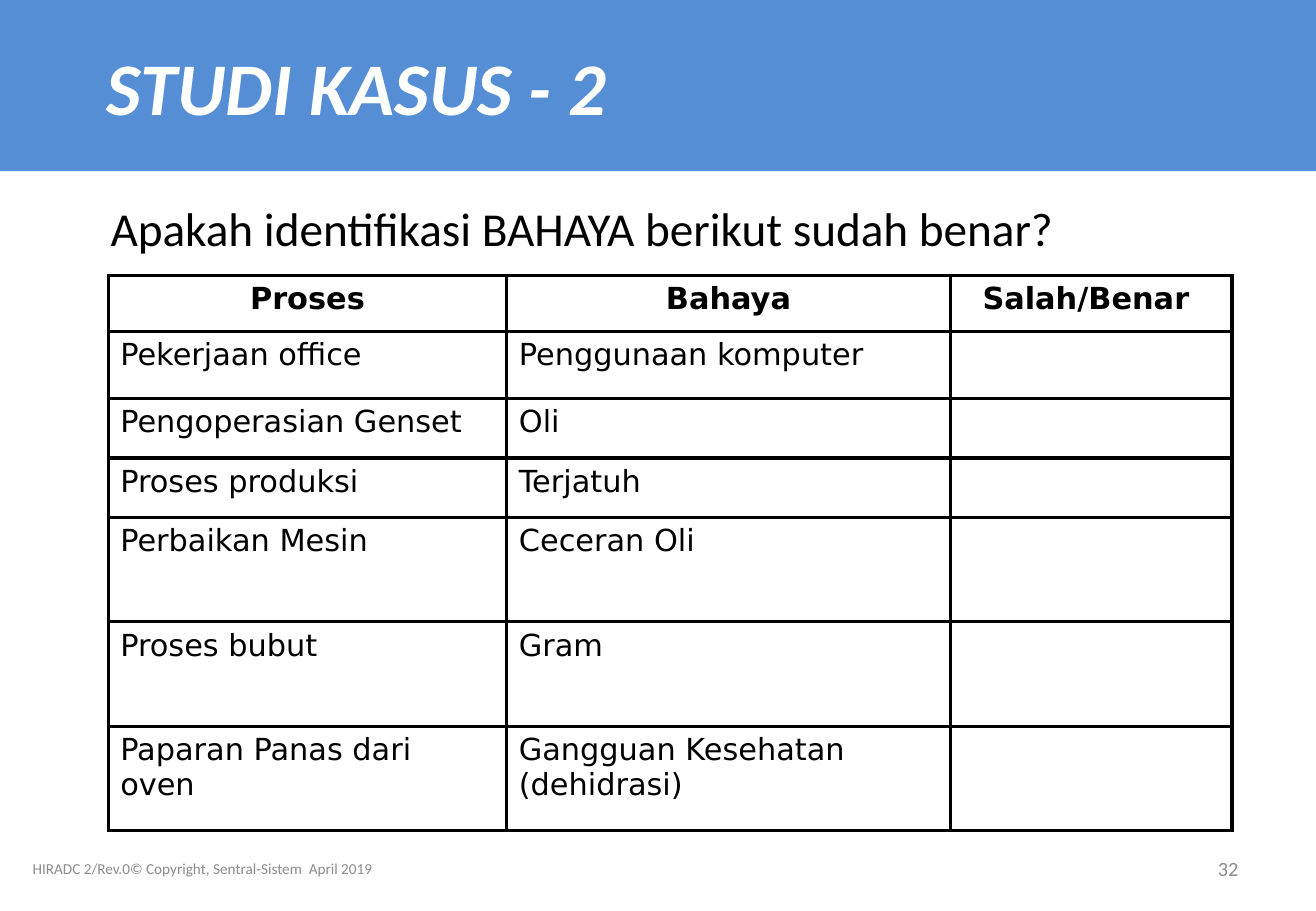
from lxml.etree import SubElement as Sub
from pptx import Presentation
from pptx.dml.color import RGBColor
from pptx.enum.text import MSO_ANCHOR as Anchor, MSO_AUTO_SIZE as Fit, PP_ALIGN as Align
from pptx.oxml import parse_xml
from pptx.oxml.ns import nsdecls, qn
from pptx.util import Pt

PX = 9144
BLUE = RGBColor(0x55, 0x8E, 0xD5)
WHITE = RGBColor(0xFF, 0xFF, 0xFF)
BLACK = RGBColor(0, 0, 0)
GRAY = RGBColor(0x8C, 0x8C, 0x8C)


def place(shape, *box):
    shape.left, shape.top, shape.width, shape.height = [n * PX for n in box]


def style(par, size, color, face="Calibri", align=Align.LEFT, bold=False):
    par.alignment = align
    for run in par.runs:
        run.font.name = face
        run.font.size = Pt(size)
        run.font.color.rgb = color
        run.font.bold = bold


deck = Presentation()
deck.slide_width = 1083 * PX
deck.slide_height = 750 * PX
slide = deck.slides.add_slide(deck.slide_layouts[1])

title = slide.shapes.title
place(title, 0, 0, 1083, 141)
title.fill.solid()
title.fill.fore_color.rgb = BLUE
frame = title.text_frame
frame.text = "\tSTUDI KASUS - 2"
frame.auto_size = Fit.NONE
frame.vertical_anchor = Anchor.MIDDLE
par = frame.paragraphs[0]
tabs = Sub(par._p.get_or_add_pPr(), qn("a:tabLst"))
Sub(tabs, qn("a:tab"), pos=str(78 * PX), algn="l")
style(par, 44, WHITE, bold=True)
par.runs[0].font.italic = True

body = slide.placeholders[1]
place(body, 81, 159, 891, 62)
frame = body.text_frame
frame.text = "Apakah identifikasi BAHAYA berikut sudah benar?"
frame.auto_size = Fit.NONE
par = frame.paragraphs[0]
props = par._p.get_or_add_pPr()
props.set("marL", str(38 * PX))
props.set("indent", str(-38 * PX))
Sub(props, qn("a:buNone"))
par.space_before = Pt(0)
style(par, 28, BLACK)

rows = [
    ("Proses", "Bahaya", "Salah/Benar "),
    ("Pekerjaan office", "Penggunaan komputer", ""),
    ("Pengoperasian Genset", "Oli", ""),
    ("Proses produksi", "Terjatuh", ""),
    ("Perbaikan Mesin", "Ceceran Oli", ""),
    ("Proses bubut", "Gram", ""),
    ("Paparan Panas dari oven", "Gangguan Kesehatan (dehidrasi)", ""),
]
wide = [328, 365, 232]
high = [46, 55, 49, 49, 86, 86, 86]
grid = slide.shapes.add_table(
    len(rows), len(wide), 89 * PX, 227 * PX, sum(wide) * PX, sum(high) * PX
).table
for col, size in zip(grid.columns, wide):
    col.width = size * PX
for row, size in zip(grid.rows, high):
    row.height = size * PX
for r, words in enumerate(rows):
    for c, word in enumerate(words):
        cell = grid.cell(r, c)
        cell.text = word
        cell.fill.background()
        props = cell._tc.get_or_add_tcPr()
        for n, side in enumerate("LRTB"):
            props.insert(n, parse_xml(
                f'<a:ln{side} {nsdecls("a")} w="{Pt(2.25)}"><a:solidFill>'
                f'<a:srgbClr val="{BLACK}"/></a:solidFill></a:ln{side}>'))
        align = Align.LEFT if r else Align.CENTER
        style(cell.text_frame.paragraphs[0], 18, BLACK, "DejaVu Sans", align, r == 0)

notes = [
    ("HIRADC 2/Rev.0© Copyright, Sentral-Sistem  April 2019", 17, 609, 9, Align.LEFT),
    ("32", 776, 253, 12, Align.RIGHT),
]
for text, left, width, size, align in notes:
    box = slide.shapes.add_textbox(left * PX, 695 * PX, width * PX, 40 * PX)
    frame = box.text_frame
    frame.word_wrap = True
    frame.vertical_anchor = Anchor.MIDDLE
    frame.text = text
    style(frame.paragraphs[0], size, GRAY, align=align)

deck.save("out.pptx")
